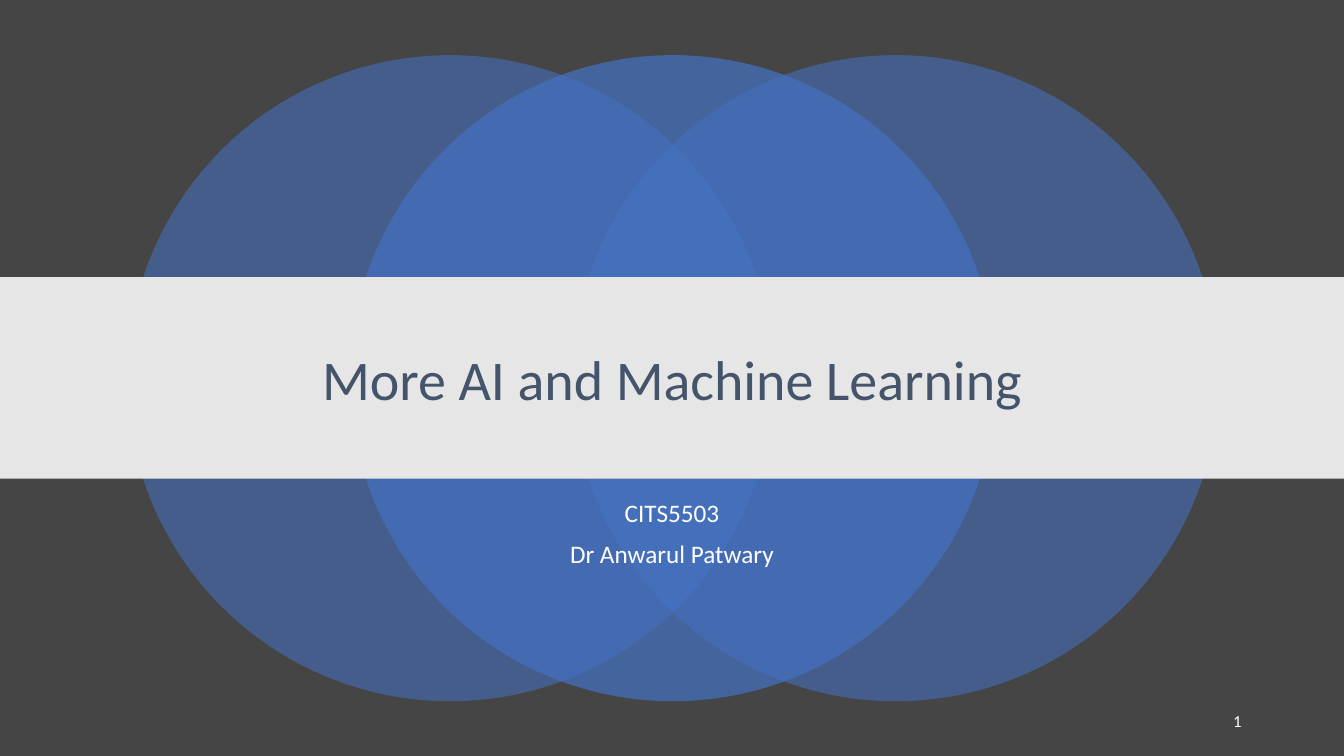
from dataclasses import dataclass

import lxml.etree
import pptx
import pptx.dml.color
import pptx.enum.shapes
import pptx.enum.text
import pptx.oxml.ns
import pptx.presentation
import pptx.shapes.autoshape
import pptx.slide
import pptx.util

Pt = pptx.util.Pt
Shape = pptx.enum.shapes.MSO_SHAPE
Align = pptx.enum.text.PP_ALIGN
Anchor = pptx.enum.text.MSO_ANCHOR


@dataclass(frozen=True)
class Theme:
    font: str = "Calibri"
    background: str = "454545"
    circle: str = "4472C4"
    band: str = "E7E6E6"
    title: str = "44546A"
    light: str = "FFFFFF"
    title_size: int = 40
    subtitle_size: int = 18
    number_size: int = 12


@dataclass(frozen=True)
class Box:
    left: float
    top: float
    width: float
    height: float

    def lengths(self) -> tuple[pptx.util.Length, ...]:
        """Return the four measures as lengths."""
        return Pt(self.left), Pt(self.top), Pt(self.width), Pt(self.height)


@dataclass(frozen=True)
class Circle:
    column: int
    opacity: int


THEME = Theme()
SLIDE_WIDTH, SLIDE_HEIGHT = 960, 540
CIRCLE_LEFT, CIRCLE_TOP = 90.72, 39.4
CIRCLE_DIAMETER, CIRCLE_PITCH = 461.5, 159.1
CIRCLES = (Circle(0, 55), Circle(2, 55), Circle(1, 70))


def color(value: str) -> pptx.dml.color.RGBColor:
    """Return the colour for a hexadecimal value."""
    return pptx.dml.color.RGBColor.from_string(value)


def add_filled_shape(
    slide: pptx.slide.Slide, kind: Shape, box: Box, fill: str
) -> pptx.shapes.autoshape.Shape:
    """Add a flat shape without an outline."""
    shape = slide.shapes.add_shape(kind, *box.lengths())
    shape.shadow.inherit = False
    shape.fill.solid()
    shape.fill.fore_color.rgb = color(fill)
    shape.line.fill.background()
    return shape


def add_circle(slide: pptx.slide.Slide, circle: Circle) -> None:
    """Add one translucent circle of the overlapping row."""
    left = CIRCLE_LEFT + circle.column * CIRCLE_PITCH
    box = Box(left, CIRCLE_TOP, CIRCLE_DIAMETER, CIRCLE_DIAMETER)
    shape = add_filled_shape(slide, Shape.OVAL, box, THEME.circle)
    qualified = pptx.oxml.ns.qn
    fill_color = shape.element.spPr.find(qualified("a:solidFill"))[0]
    alpha = lxml.etree.SubElement(fill_color, qualified("a:alpha"))
    alpha.set("val", str(circle.opacity * 1000))


def add_text(
    slide: pptx.slide.Slide,
    text: str,
    box: Box,
    *,
    size: int,
    fill: str,
    align: Align = Align.CENTER,
    anchor: Anchor = Anchor.MIDDLE,
    line_spacing: float = 1.0,
    space_before: float = 0,
) -> None:
    """Add a text box with one paragraph for each line of text."""
    frame = slide.shapes.add_textbox(*box.lengths()).text_frame
    frame.word_wrap = True
    frame.vertical_anchor = anchor
    frame.text = text
    for index, paragraph in enumerate(frame.paragraphs):
        paragraph.alignment = align
        paragraph.line_spacing = line_spacing
        paragraph.space_before = Pt(space_before if index else 0)
        paragraph.font.name = THEME.font
        paragraph.font.size = Pt(size)
        paragraph.font.color.rgb = color(fill)


def build_slide(presentation: pptx.presentation.Presentation) -> None:
    """Build the title slide."""
    slide = presentation.slides.add_slide(presentation.slide_layouts[6])
    slide.background.fill.solid()
    slide.background.fill.fore_color.rgb = color(THEME.background)
    for circle in CIRCLES:
        add_circle(slide, circle)
    add_filled_shape(slide, Shape.RECTANGLE, Box(0, 198, SLIDE_WIDTH, 144), THEME.band)
    add_text(
        slide, "More AI and Machine Learning", Box(120, 218.9, 720, 108.7),
        size=THEME.title_size, fill=THEME.title, line_spacing=0.9,
    )
    add_text(
        slide, "CITS5503\nDr Anwarul Patwary", Box(120, 354.2, 720, 59.8),
        size=THEME.subtitle_size, fill=THEME.light, anchor=Anchor.TOP,
        line_spacing=0.9, space_before=10,
    )
    add_text(
        slide, "1", Box(678, 500.5, 216, 28.8),
        size=THEME.number_size, fill=THEME.light, align=Align.RIGHT,
    )


def main() -> None:
    """Create and save the presentation."""
    presentation = pptx.Presentation()
    presentation.slide_width = Pt(SLIDE_WIDTH)
    presentation.slide_height = Pt(SLIDE_HEIGHT)
    build_slide(presentation)
    presentation.save("out.pptx")


if __name__ == "__main__":
    main()
